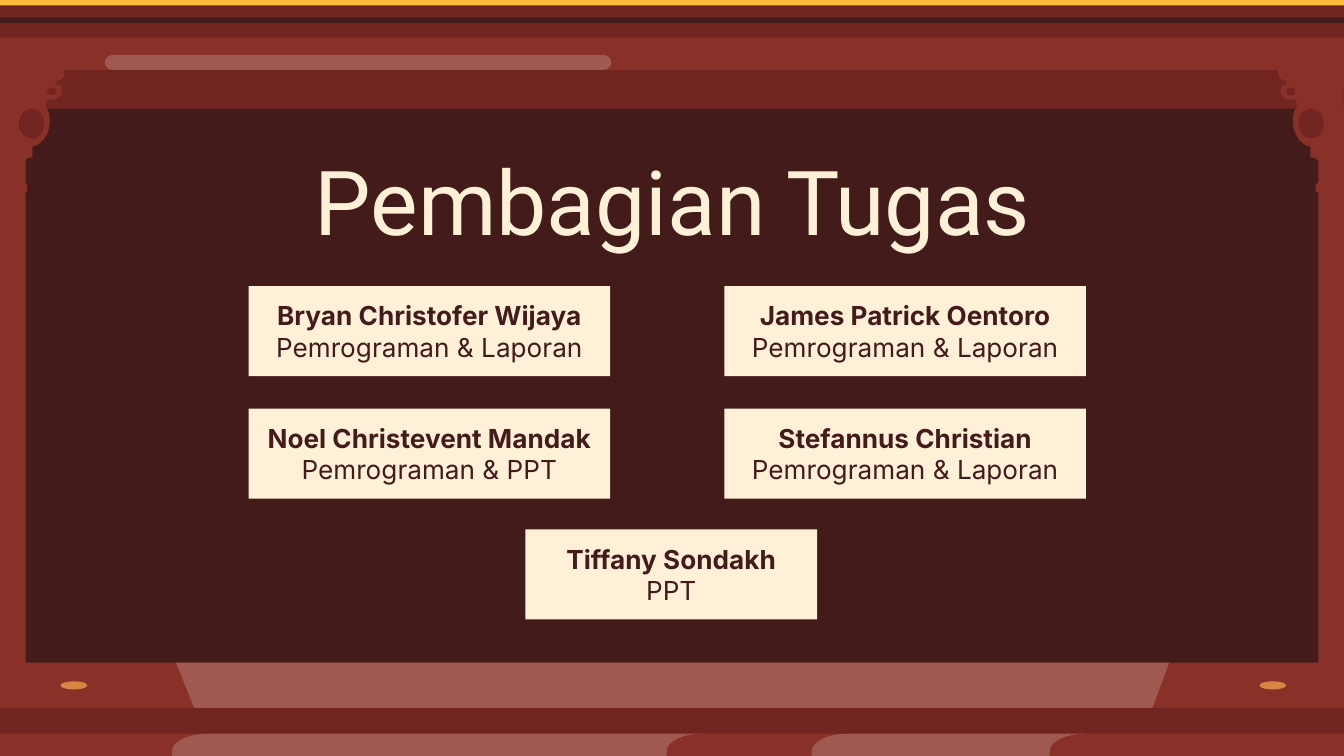
from lxml.etree import SubElement
from pptx import Presentation
from pptx.dml.color import RGBColor
from pptx.enum.shapes import MSO_SHAPE
from pptx.enum.text import MSO_ANCHOR, PP_ALIGN
from pptx.oxml.ns import qn
from pptx.util import Pt

PX = 9144
WIDTH = 1000
CREAM, GOLD, COPPER, GLOW = "FFF0D7", "FFBE3B", "D88445", "FFFCF7"
DARK, WINE, BRICK = "421B1A", "722420", "893128"

CORNER = [(48, 0), (-1, 0), (0, 94), (20, 94), (20, 88), (14, 88, 12, 68, 24, 68),
          (24, 60), (28, 60, 37, 54, 37, 41), (37, 36, 36, 33, 35, 32),
          (33, 29, 34, 25, 37, 25), (38, 25), (38, 25, 39, 25, 40, 25),
          (43, 25, 45, 23, 46, 20), (46, 18, 46, 14, 43, 14), (42, 14),
          (42, 11), (45, 11, 48, 9, 48, 5)]

MEMBERS = [
    [("Bryan Christofer Wijaya", "Pemrograman & Laporan"),
     ("James Patrick Oentoro", "Pemrograman & Laporan")],
    [("Noel Christevent Mandak", "Pemrograman & PPT"),
     ("Stefannus Christian", "Pemrograman & Laporan")],
]


def color(hex_string):
    """Turn a hex string into a colour."""
    return RGBColor.from_string(hex_string)


def paint(shape, hex_string, alpha=100):
    """Give a shape a flat fill with no line or shadow."""
    shape.shadow.inherit = False
    shape.line.fill.background()
    shape.fill.solid()
    shape.fill.fore_color.rgb = color(hex_string)
    if alpha < 100:
        tone = shape.fill._xPr.find(qn("a:solidFill"))[0]
        SubElement(tone, qn("a:alpha"), val=str(alpha * 1000))
    return shape


def add_block(slide, box, hex_string, kind=MSO_SHAPE.RECTANGLE, alpha=100):
    """Add a filled preset shape; rounded ones get full ends."""
    shape = slide.shapes.add_shape(kind, *(value * PX for value in box))
    if kind == MSO_SHAPE.ROUNDED_RECTANGLE:
        shape.adjustments[0] = 0.5
    return paint(shape, hex_string, alpha)


def flatten(path, steps=8):
    """Turn points and cubic curves into a list of plain points."""
    points = [path[0]]
    for part in path[1:]:
        if len(part) == 2:
            points.append(part)
            continue
        curve = [points[-1], part[:2], part[2:4], part[4:]]
        for step in range(1, steps + 1):
            t = step / steps
            weights = ((1 - t) ** 3, 3 * t * (1 - t) ** 2, 3 * t * t * (1 - t), t ** 3)
            points.append(tuple(sum(w * p[axis] for w, p in zip(weights, curve))
                                for axis in (0, 1)))
    return points


def add_outline(slide, path, place, hex_string, alpha=100):
    """Add a closed outline whose points are moved by a place function."""
    points = [tuple(value * PX for value in place(x, y)) for x, y in flatten(path)]
    builder = slide.shapes.build_freeform(*points[0], scale=1.0)
    builder.add_line_segments(points[1:], close=True)
    return paint(builder.convert_to_shape(), hex_string, alpha)


def write(shape, lines, formats, anchor, spacing=1.0, margin_top=10):
    """Write centred lines, each with its own font format."""
    frame = shape.text_frame
    layout = {"word_wrap": True, "vertical_anchor": anchor, "margin_left": 10 * PX,
              "margin_right": 10 * PX, "margin_top": margin_top * PX,
              "margin_bottom": 10 * PX}
    for name, value in layout.items():
        setattr(frame, name, value)
    for index, (line, font_format) in enumerate(zip(lines, formats)):
        paragraph = frame.add_paragraph() if index else frame.paragraphs[0]
        paragraph.alignment = PP_ALIGN.CENTER
        paragraph.line_spacing = spacing
        run = paragraph.add_run()
        run.text = line
        for name, value in font_format.items():
            if name == "color":
                run.font.color.rgb = color(value)
            else:
                setattr(run.font, name, value)


def add_stage_sides(slide, left, top, width, height):
    """Add the side walls, the lower beam, its light and the back curtain."""
    wall, beam = 19, 35
    beam_top = top + height - 39
    for x in (left + width - wall, left):
        add_block(slide, (x, top, wall, height), BRICK)
    add_block(slide, (left + wall - 1, beam_top, width - 2 * wall + 2, beam), BRICK)
    add_outline(slide, [(0, 0), (14, beam), (726, beam), (739, 0)],
                lambda x, y: (left + 131 + x, beam_top + y), GLOW, 20)
    add_block(slide, (left, top + 21, width, 33), WINE)


def add_cornice(slide, left, top, width):
    """Add the stacked bands along the top of the stage."""
    rounded = MSO_SHAPE.ROUNDED_RECTANGLE
    add_block(slide, (left - 15, top + 24, width + 30, 28), BRICK, rounded)
    add_block(slide, (left - 59, top - 1, width + 118, 29), WINE)
    add_block(slide, (left - 59, top - 1, width + 118, 5), GOLD)
    add_block(slide, (left + 78, top + 41, 377, 11), GLOW, rounded, 20)
    add_block(slide, (left - 37, top + 13, width + 74, 4), DARK)


def add_floor(slide, left, top, width):
    """Add the stage edge and the floor with its two light patches."""
    floor_top, depth = top + 19, 17
    add_block(slide, (left - 10, top, width + 25, 23), WINE, MSO_SHAPE.ROUNDED_RECTANGLE)
    add_block(slide, (left - 40, floor_top, width + 81, depth), BRICK)
    for offset, span in ((128, 394), (604, 203)):
        inner = span - 26
        patch = [(26, 0), (12, 0, 0, 6, 0, 13), (0, depth), (inner, depth),
                 (inner, 13), (inner, 6, span - 14, 0, span, 0)]
        add_outline(slide, patch,
                    lambda x, y: (left + offset + x, floor_top + y), GLOW, 20)


def add_corner(slide, left, top, width, mirrored):
    """Add a carved corner with its two medallions."""
    def place(x, y):
        return (left + width - x if mirrored else left + x), top + y

    add_outline(slide, CORNER, place, BRICK)
    for x, y, w, h in ((14, 32, 19, 22), (35, 16, 7, 6)):
        start = place(x + w if mirrored else x, y)
        add_block(slide, (*start, w, h), WINE, MSO_SHAPE.OVAL)


def add_studs(slide, lefts, top):
    """Add the copper studs on the lower beam."""
    for left in lefts:
        add_block(slide, (left, top, 20, 6), COPPER, MSO_SHAPE.OVAL)


def add_title(slide, left, top, width, height):
    """Add the slide heading."""
    heading = slide.shapes.add_textbox(*(v * PX for v in (left, top, width, height)))
    heading_format = {"size": Pt(48), "name": "Roboto", "color": CREAM}
    write(heading, ["Pembagian Tugas"], [heading_format], MSO_ANCHOR.TOP, 0.9, 20)


def add_card(slide, left, top, width, height, member):
    """Add one card with a member's name and task."""
    card = add_block(slide, (left, top, width, height), CREAM)
    task_format = {"size": Pt(14), "name": "Inter", "color": DARK, "bold": False}
    write(card, member, [{**task_format, "bold": True}, task_format], MSO_ANCHOR.MIDDLE)


def add_team(slide, left, top):
    """Add two rows of two cards and a single card below them."""
    width, height, column_step, row_step = 269, 67, 354, 91
    for row, members in enumerate(MEMBERS):
        for column, member in enumerate(members):
            add_card(slide, left + column * column_step, top + row * row_step,
                     width, height, member)
    add_card(slide, left + 206, top + 2 * row_step - 1, 217, height,
             ("Tiffany Sondakh", "PPT"))


def main():
    """Build the task division slide."""
    deck = Presentation()
    deck.slide_width = WIDTH * PX
    deck.slide_height = deck.slide_width * 9 // 16
    slide = deck.slides.add_slide(deck.slide_layouts[6])
    slide.background.fill.solid()
    slide.background.fill.fore_color.rgb = color(DARK)
    add_stage_sides(slide, 0, 27, WIDTH, 505)
    add_cornice(slide, 0, 0, WIDTH)
    add_floor(slide, 0, 527, WIDTH)
    add_corner(slide, 0, 49, 49, False)
    add_corner(slide, WIDTH - 50, 49, 49, True)
    add_studs(slide, (45, 937), 507)
    add_title(slide, 79, 98, 843, 52)
    add_team(slide, 185, 213)
    deck.save("out.pptx")


if __name__ == "__main__":
    main()
